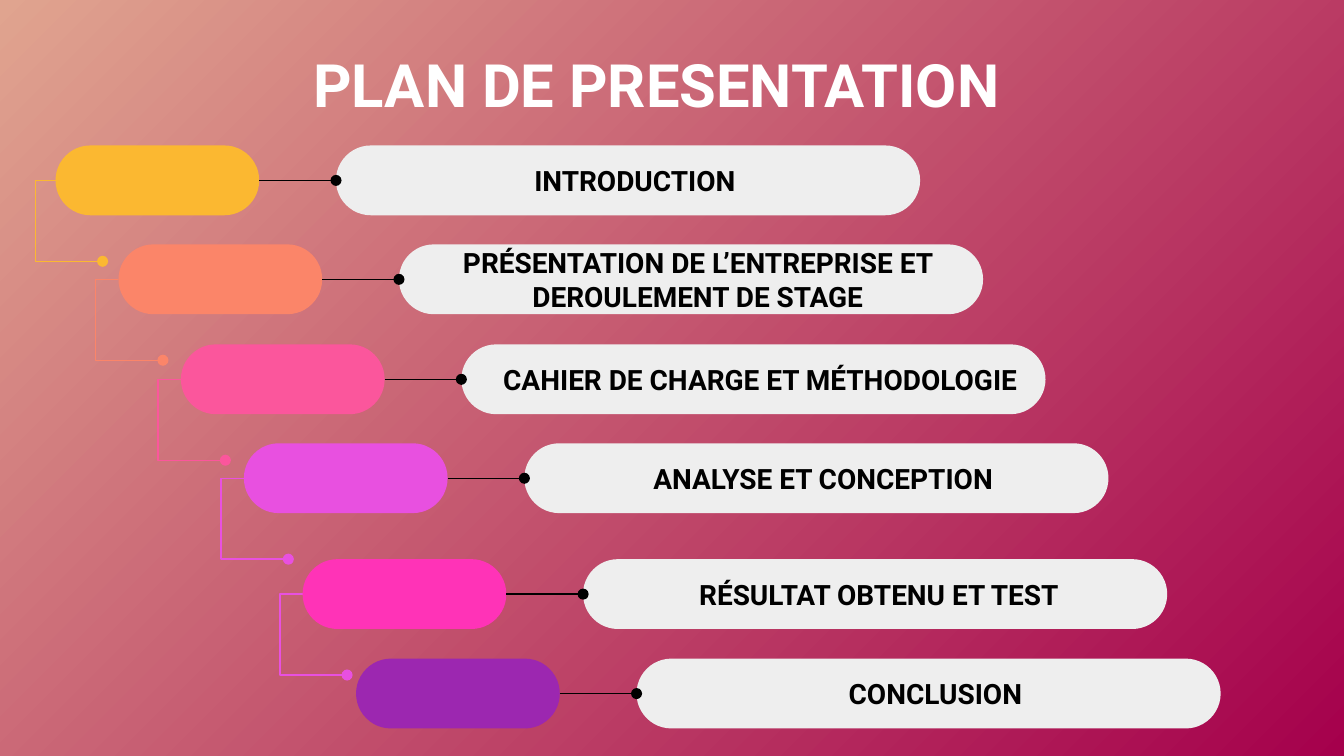
from dataclasses import dataclass

import pptx
import pptx.dml.color
import pptx.enum.shapes
import pptx.enum.text
import pptx.oxml
import pptx.oxml.ns
import pptx.util
from pptx.util import Cm

FONT = "Roboto"
PILL_WIDTH, BAR_WIDTH, HEIGHT = 3.85, 11.04, 1.32
BAR_OFFSET = 5.3  # from the left of a pill to the left of its bar
HOOK_DROP, HOOK_RUN = 1.53, 1.27


@dataclass
class Step:
    label: str
    left: float
    top: float
    fill: str
    hook: str = ""
    hook_out: float = 0.43


STEPS = [
    Step("INTRODUCTION", 1.05, 2.75, "FBB831", "FBB831", 0.38),
    Step("PRÉSENTATION DE L’ENTREPRISE ET DEROULEMENT DE STAGE",
         2.24, 4.62, "FB8569", "FB8569"),
    Step("CAHIER DE CHARGE ET MÉTHODOLOGIE", 3.42, 6.51, "FB569C", "FB569C"),
    Step("ANALYSE ET CONCEPTION", 4.61, 8.38, "E850E0", "E850E0"),
    Step("RÉSULTAT OBTENU ET TEST ", 5.72, 10.57, "FF33B7", "E850E0"),
    Step("CONCLUSION", 6.73, 12.45, "9C27B0"),
]


def rgb(code: str) -> pptx.dml.color.RGBColor:
    return pptx.dml.color.RGBColor.from_string(code)


def write(box, text: str, size: int, color: str, left_inset: float) -> None:
    frame = box.text_frame
    frame.word_wrap = True
    frame.vertical_anchor = pptx.enum.text.MSO_ANCHOR.MIDDLE
    frame.margin_left = Cm(left_inset)
    frame.margin_right = frame.margin_top = frame.margin_bottom = Cm(0.25)
    para = frame.paragraphs[0]
    para.alignment = pptx.enum.text.PP_ALIGN.CENTER
    span = para.add_run()
    span.text = text
    span.font.name = FONT
    span.font.size = pptx.util.Pt(size)
    span.font.bold = True
    span.font.color.rgb = rgb(color)


def add_pill(group, left: float, top: float, width: float, color: str):
    pill = group.shapes.add_shape(
        pptx.enum.shapes.MSO_SHAPE.ROUNDED_RECTANGLE,
        Cm(left), Cm(top), Cm(width), Cm(HEIGHT))
    pill.adjustments[0] = 0.5
    pill.shadow.inherit = False
    pill.fill.solid()
    pill.fill.fore_color.rgb = rgb(color)
    pill.line.fill.background()
    return pill


def style_line(line_shape, color: str) -> None:
    """Thin line that ends in a dot."""
    line_shape.line.color.rgb = rgb(color)
    line_shape.line.width = pptx.util.Pt(0.75)
    properties = line_shape.element.spPr
    outline = properties.find(pptx.oxml.ns.qn("a:ln"))
    namespace = pptx.oxml.ns.nsdecls("a")
    outline.append(pptx.oxml.parse_xml(f'<a:tailEnd {namespace} type="oval"/>'))
    if properties.find(pptx.oxml.ns.qn("a:effectLst")) is None:
        properties.append(pptx.oxml.parse_xml(f"<a:effectLst {namespace}/>"))


def add_hook(group, step: Step, middle: float) -> None:
    outer, bottom = step.left - step.hook_out, middle + HOOK_DROP
    builder = group.shapes.build_freeform(Cm(step.left), Cm(middle))
    builder.add_line_segments(
        [(Cm(outer), Cm(middle)), (Cm(outer), Cm(bottom)),
         (Cm(outer + HOOK_RUN), Cm(bottom))], close=False)
    hook = builder.convert_to_shape()
    hook.fill.background()
    hook.shadow.inherit = False
    style_line(hook, step.hook)


def add_step(page, step: Step) -> None:
    group = page.shapes.add_group_shape()
    middle = step.top + HEIGHT / 2
    bar_left = step.left + BAR_OFFSET
    if step.hook:
        add_hook(group, step, middle)
    add_pill(group, step.left, step.top, PILL_WIDTH, step.fill)
    bar = add_pill(group, bar_left, step.top, BAR_WIDTH, "EEEEEE")
    write(bar, step.label, 15, "000000", 0.51)
    link = group.shapes.add_connector(
        pptx.enum.shapes.MSO_CONNECTOR.STRAIGHT,
        Cm(step.left + PILL_WIDTH), Cm(middle), Cm(bar_left), Cm(middle))
    style_line(link, "000000")


def main() -> None:
    deck = pptx.Presentation()
    deck.slide_width, deck.slide_height = Cm(25.4), Cm(14.29)
    page = deck.slides.add_slide(deck.slide_layouts[6])

    # Background, dark at bottom right
    backdrop = page.background.fill
    backdrop.gradient()
    backdrop.gradient_angle = 135
    for stop, color, position in zip(
            backdrop.gradient_stops, ("A5004C", "E0A48F"), (0, 1)):
        stop.color.rgb = rgb(color)
        stop.position = position

    # Title
    title = page.shapes.add_textbox(Cm(1.85), Cm(0.78), Cm(21.41), Cm(1.6))
    write(title, "PLAN DE PRESENTATION ", 32, "FFFFFF", 0.25)

    # Staircase of steps
    for step in STEPS:
        add_step(page, step)

    deck.save("out.pptx")


if __name__ == "__main__":
    main()
